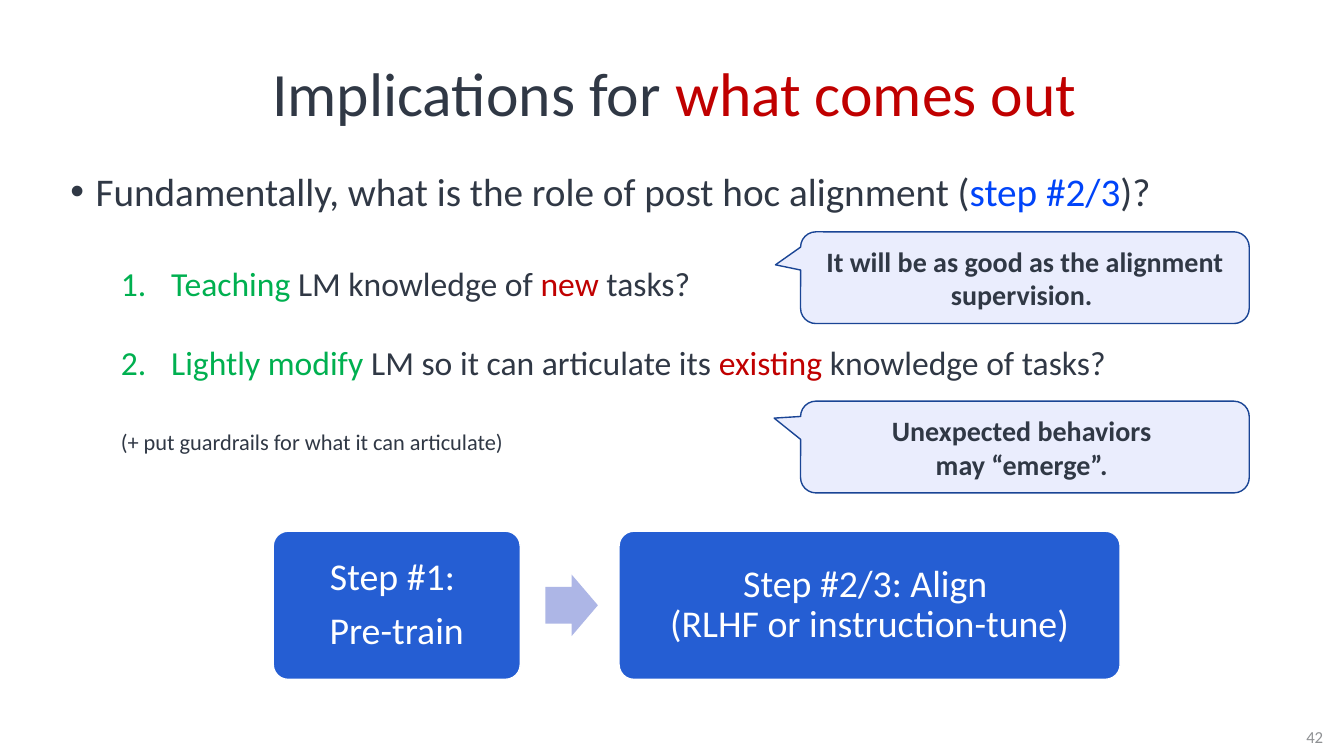
from lxml import etree
from pptx import Presentation
from pptx import util as u
from pptx.dml.color import RGBColor
from pptx.enum import shapes, text
from pptx.oxml.ns import qn

W, H = 13.33, 7.5
FONT = "Calibri"
INK, RED, GREEN, BLUE = "303845", "C00000", "00B050", "0044F9"
WHITE, GRAY = "FFFFFF", "8F9194"
STEP, ARROW, PALE, EDGE = "255ED3", "ADB6E6", "EAEDFD", "1A4595"

TITLE = [("Implications for ", INK), ("what comes out", RED)]
# bullet, left margin, first indent, size, space before, runs
BODY = [
    ("•", 0.25, -0.25, 28, 0,
     [("Fundamentally, what is the role of post hoc alignment (", INK),
      ("step #2/3", BLUE), (")?", INK)]),
    ("1.", 1, -0.5, 24, 38,
     [("Teaching ", GREEN), ("LM knowledge of ", INK), ("new ", RED),
      ("tasks?", INK)]),
    ("1.", 1, -0.5, 24, 30,
     [("Lightly modify", GREEN), (" LM so it can articulate its ", INK),
      ("existing", RED), (" knowledge of tasks?", INK)]),
    (None, 0.5, 0, 16, 35,
     [("(+ put guardrails for what it can articulate)", INK)]),
]
# top, tail position, lines
NOTES = [
    (2.3, (-0.556, -0.14), ["It will be as good as the alignment supervision. "]),
    (3.98, (-0.559, -0.315), ["Unexpected behaviors ", "may “emerge”. "]),
]
NOTE_X, NOTE_W, NOTE_H = 7.94, 4.45, 0.91
# left, width, gap between paragraphs, lines
STEPS = [
    (2.71, 2.45, 9, ["Step #1: ", "Pre-train"]),
    (6.14, 4.97, 0, ["Step #2/3: Align ", "(RLHF or instruction-tune)"]),
]
STEP_Y, STEP_H = 5.27, 1.47
ARROW_X, ARROW_W, ARROW_H = 5.41, 0.52, 0.61

deck = Presentation()
deck.slide_width, deck.slide_height = u.Inches(W), u.Inches(H)
slide = deck.slides.add_slide(deck.slide_layouts[5])


def rgb(code):
    return RGBColor.from_string(code)


def box(x, y, w, h):
    return [u.Inches(v) for v in (x, y, w, h)]


def write(par, runs, size, bold=False):
    for words, color in runs:
        run = par.add_run()
        run.text = words
        font = run.font
        font.name, font.size, font.bold = FONT, u.Pt(size), bold
        font.color.rgb = rgb(color)


def mark(par, sign, left, first):
    """Set the indents and the bullet or number of a paragraph."""
    props = par._p.get_or_add_pPr()
    props.set("marL", str(u.Inches(left)))
    props.set("indent", str(u.Inches(first)))
    if sign == "•":
        etree.SubElement(props, qn("a:buFont"), typeface="Arial")
        etree.SubElement(props, qn("a:buChar"), char=sign)
    elif sign:
        etree.SubElement(props, qn("a:buFont"), typeface="+mj-lt")
        etree.SubElement(props, qn("a:buAutoNum"), type="arabicPeriod")


def shape(kind, place, adjust, fill, line=None):
    item = slide.shapes.add_shape(kind, *box(*place))
    for i, value in enumerate(adjust):
        item.adjustments[i] = value
    item.shadow.inherit = False
    item.fill.solid()
    item.fill.fore_color.rgb = rgb(fill)
    if line:
        item.line.color.rgb = rgb(line)
        item.line.width = u.Pt(1)
    else:
        item.line.fill.background()
    return item


def center(frame, lines, size, color, bold=False, pitch=1.0, gap=0):
    frame.word_wrap = True
    frame.vertical_anchor = text.MSO_ANCHOR.MIDDLE
    for i, words in enumerate(lines):
        par = frame.add_paragraph() if i else frame.paragraphs[0]
        par.alignment = text.PP_ALIGN.CENTER
        par.line_spacing = pitch
        if i:
            par.space_before = u.Pt(gap)
        write(par, [(words, color)], size, bold)


head = slide.shapes.title
head.left, head.top, head.width, head.height = box(0.22, 0.41, 12.94, 1.1)
head.text_frame.vertical_anchor = text.MSO_ANCHOR.MIDDLE
par = head.text_frame.paragraphs[0]
par.alignment = text.PP_ALIGN.CENTER
par.line_spacing = 0.9
write(par, TITLE, 44)

frame = slide.shapes.add_textbox(*box(0.6, 1.66, 12.3, 3.4)).text_frame
frame.word_wrap = True
for i, (sign, left, first, size, gap, runs) in enumerate(BODY):
    par = frame.add_paragraph() if i else frame.paragraphs[0]
    par.line_spacing = 0.9
    par.space_before = u.Pt(gap)
    mark(par, sign, left, first)
    write(par, runs, size)

for x, w, gap, lines in STEPS:
    item = shape(shapes.MSO_SHAPE.ROUNDED_RECTANGLE,
                 (x, STEP_Y, w, STEP_H), [0.1], STEP, WHITE)
    center(item.text_frame, lines, 27, WHITE, pitch=0.9, gap=gap)

shape(shapes.MSO_SHAPE.RIGHT_ARROW,
      (ARROW_X, STEP_Y + (STEP_H - ARROW_H) / 2, ARROW_W, ARROW_H),
      [0.6, 0.5], ARROW)

for y, tail, lines in NOTES:
    item = shape(shapes.MSO_SHAPE.ROUNDED_RECTANGULAR_CALLOUT,
                 (NOTE_X, y, NOTE_W, NOTE_H), [*tail, 0.167], PALE, EDGE)
    center(item.text_frame, lines, 20, INK, bold=True)

page = slide.shapes.add_textbox(*box(W - 0.58, 7.11, 0.58, 0.4))
center(page.text_frame, ["42"], 12, GRAY)

deck.save("out.pptx")
